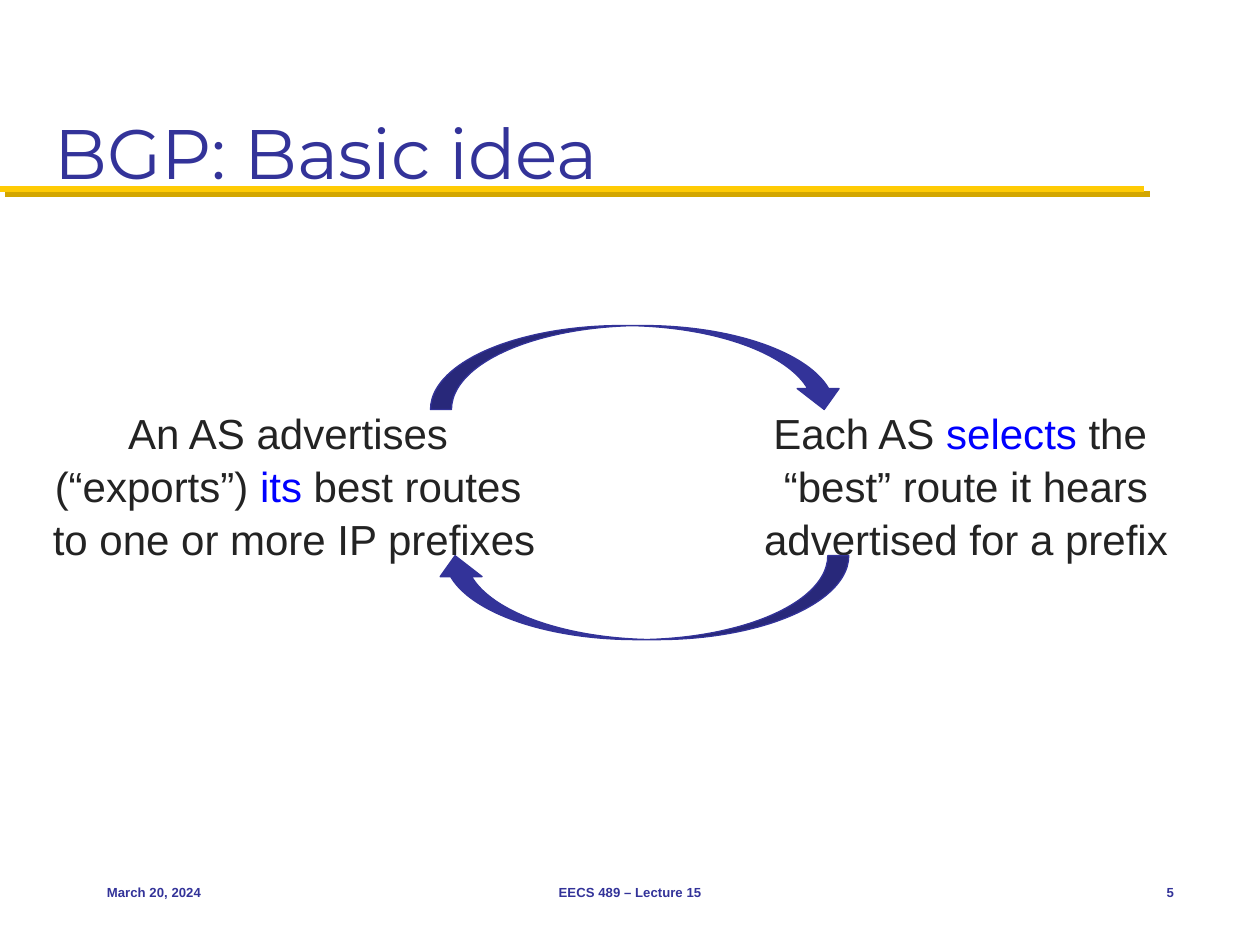
"""Build the slide on the basic idea of BGP."""
from dataclasses import dataclass

from lxml import etree
from pptx import Presentation
from pptx.dml.color import RGBColor
from pptx.enum.shapes import MSO_CONNECTOR, MSO_SHAPE
from pptx.enum.text import MSO_ANCHOR, MSO_AUTO_SIZE, PP_ALIGN
from pptx.oxml import parse_xml
from pptx.oxml.ns import nsdecls, qn
from pptx.util import Pt

LEFT, CENTER, RIGHT = PP_ALIGN.LEFT, PP_ALIGN.CENTER, PP_ALIGN.RIGHT
TOP, MIDDLE, BOTTOM = MSO_ANCHOR.TOP, MSO_ANCHOR.MIDDLE, MSO_ANCHOR.BOTTOM
CURVED, STRAIGHT = MSO_SHAPE.CURVED_LEFT_ARROW, MSO_CONNECTOR.STRAIGHT
FIXED = MSO_AUTO_SIZE.NONE

NAVY = RGBColor(0x33, 0x33, 0x99)
INK = RGBColor(0x23, 0x23, 0x23)
BLUE = RGBColor(0x00, 0x00, 0xFF)
MAIZE = RGBColor(0xFF, 0xCB, 0x05)
GOLD = RGBColor(0xD3, 0xA6, 0x00)

Box = tuple[float, float, float, float]


@dataclass
class Style:
    font: dict
    align: PP_ALIGN
    anchor: MSO_ANCHOR
    space: float = 1.0


@dataclass
class Label:
    box: Box
    runs: list[tuple[str, RGBColor]]
    style: Style


@dataclass
class Arrow:
    box: Box
    turn: int


def foot(align: PP_ALIGN) -> Style:
    """Return the footer style with the given alignment."""
    return Style({"name": "Arial", "size": Pt(7.5), "bold": True}, align, MIDDLE)


HEAD = Style({"name": "Montserrat", "size": Pt(40), "bold": False}, LEFT, BOTTOM)
BODY = Style({"name": "Arial", "size": Pt(24), "bold": False}, CENTER, TOP, 1.05)

TITLE = Label((24, 12, 672, 102), [("BGP: Basic idea", NAVY)], HEAD)
SELECT = Label((384, 228, 336, 102), [
    ("Each AS ", INK), ("selects", BLUE),
    (" the \n“best” route it hears advertised for a prefix", INK)], BODY)
EXPORT = Label((18, 228, 300, 102), [
    ("An AS advertises \n(“exports”) ", INK), ("its", BLUE),
    (" best routes \nto one or more IP prefixes", INK)], BODY)
FEET = [
    Label((54, 492, 150, 36), [("March 20, 2024", NAVY)], foot(LEFT)),
    Label((246, 492, 228, 36), [("EECS 489 – Lecture 15", NAVY)], foot(CENTER)),
    Label((630, 492, 48, 36), [("5", NAVY)], foot(RIGHT)),
]
ARROWS = [Arrow((340.5, 91.5, 48, 237), 270), Arrow((342.5, 223, 48, 237), 90)]


def write(shape, label: Label) -> None:
    """Place a shape and fill it with the label's text."""
    style = label.style
    for key, value in zip(("left", "top", "width", "height"), label.box):
        setattr(shape, key, Pt(value))
    frame = shape.text_frame
    form = {"word_wrap": True, "auto_size": FIXED, "vertical_anchor": style.anchor,
            "margin_left": Pt(7.2), "margin_right": Pt(7.2),
            "margin_top": Pt(3.6), "margin_bottom": Pt(3.6)}
    for key, value in form.items():
        setattr(frame, key, value)
    para = frame.paragraphs[0]
    props = para._p.get_or_add_pPr()
    props.set("marL", "0")
    props.set("indent", "0")
    etree.SubElement(props, qn("a:buNone"))
    form = {"alignment": style.align, "space_before": Pt(0), "line_spacing": style.space}
    for key, value in form.items():
        setattr(para, key, value)
    for text, color in label.runs:
        for i, line in enumerate(text.split("\n")):
            if i:
                para.add_line_break()
            run = para.add_run()
            run.text = line
            for key, value in style.font.items():
                setattr(run.font, key, value)
            run.font.color.rgb = color


def draw_rule(slide) -> None:
    """Draw the line under the title with its gold shadow."""
    rule = slide.shapes.add_connector(STRAIGHT, 0, Pt(108), Pt(654), Pt(108))
    rule.line.color.rgb = MAIZE
    rule.line.width = Pt(3.5)
    rule._element.spPr.append(parse_xml(
        f'<a:effectLst {nsdecls("a")}><a:outerShdw dist="{Pt(4.2)}" dir="2700000" '
        f'algn="ctr" rotWithShape="0"><a:srgbClr val="{GOLD}"/>'
        '</a:outerShdw></a:effectLst>'))


def draw_arrow(slide, arrow: Arrow) -> None:
    """Draw one curved arrow."""
    shape = slide.shapes.add_shape(CURVED, *map(Pt, arrow.box))
    shape.rotation = arrow.turn
    shape.shadow.inherit = False
    shape.fill.solid()
    shape.fill.fore_color.rgb = NAVY
    shape.line.color.rgb = NAVY
    shape.line.width = Pt(0.75)


def main() -> None:
    """Build and save the slide."""
    deck = Presentation()
    deck.slide_width, deck.slide_height = Pt(720), Pt(540)
    slide = deck.slides.add_slide(deck.slide_layouts[1])
    draw_rule(slide)
    write(slide.shapes.title, TITLE)
    write(slide.placeholders[1], SELECT)
    for label in [EXPORT, *FEET]:
        write(slide.shapes.add_textbox(*map(Pt, label.box)), label)
    for arrow in ARROWS:
        draw_arrow(slide, arrow)
    deck.save("out.pptx")


if __name__ == "__main__":
    main()
